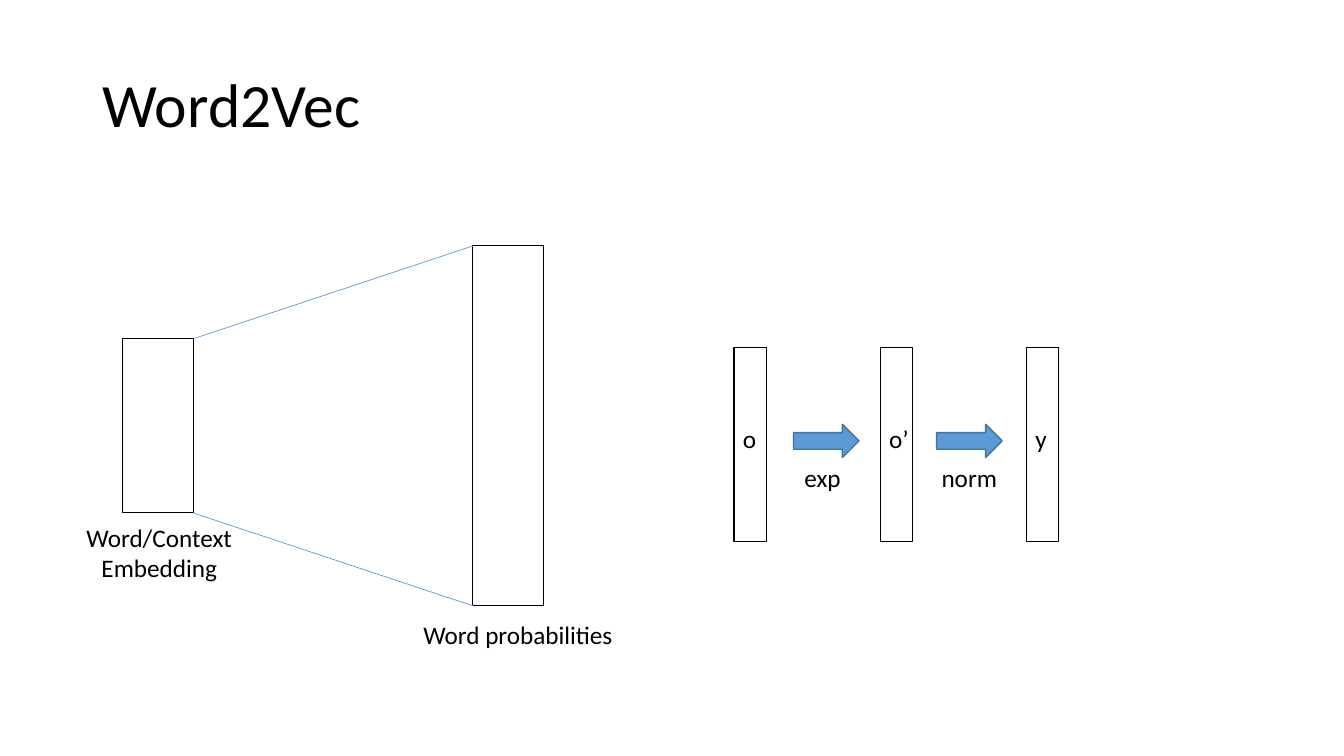
from dataclasses import dataclass

from lxml.etree import SubElement
from pptx import Presentation
from pptx.dml.color import RGBColor as RGB
from pptx.enum.shapes import MSO_CONNECTOR as LINE, MSO_SHAPE as SHAPE
from pptx.enum.text import MSO_ANCHOR as ANCHOR, PP_ALIGN as ALIGN
from pptx.oxml.ns import qn
from pptx.util import Pt

EMU_PER_PX = 9144


@dataclass(frozen=True)
class Theme:
    """Colours, font and type sizes of the slide."""
    ink: RGB = RGB(0, 0, 0)
    paper: RGB = RGB(255, 255, 255)
    blue: RGB = RGB(0x5B, 0x9B, 0xD5)
    edge: RGB = RGB(0x43, 0x73, 0x9E)
    font: str = "Calibri"
    title: int = 44
    label: int = 18


THEME = Theme()


def px(n):
    """Turn px into EMU."""
    return int(n * EMU_PER_PX)


def add_text(s, box, text, size=THEME.label, align=ALIGN.LEFT, anchor=ANCHOR.TOP, wrap=False):
    """Write text in a box."""
    tf = s.shapes.add_textbox(*map(px, box)).text_frame
    tf.text = text
    tf.word_wrap = wrap
    tf.vertical_anchor = anchor
    for p in tf.paragraphs:
        p.alignment = align
        for r in p.runs:
            r.font.name, r.font.size = THEME.font, Pt(size)
            r.font.color.rgb = THEME.ink


def add_block(s, kind, box, fill, line, width):
    """Draw a preset shape; a fill of None leaves it open."""
    sp = s.shapes.add_shape(kind, *map(px, box))
    sp.shadow.inherit = False
    if fill is None:
        sp.fill.background()
    else:
        sp.fill.solid()
        sp.fill.fore_color.rgb = fill
    sp.line.color.rgb = line
    sp.line.width = Pt(width)


def add_edge(s, start, end):
    """Draw a thin blue line between two points."""
    c = s.shapes.add_connector(LINE.STRAIGHT, *map(px, start + end))
    c.line.color.rgb = THEME.blue
    c.line.width = Pt(0.5)
    SubElement(c._element.spPr, qn("a:effectLst"))


def add_projection(s, x, y, w, h):
    """Draw the embedding layer widening into the probability layer."""
    layer_w, small_h = 70, 173
    small_y = y + (h - small_h) // 2
    out_x = x + w - layer_w
    for left, top, height in ((out_x, y, h), (x, small_y, small_h)):
        add_block(s, SHAPE.RECTANGLE, (left, top, layer_w, height), None, THEME.ink, 0.75)
    add_edge(s, (x + layer_w, small_y), (out_x, y))
    add_edge(s, (x + layer_w, small_y + small_h), (out_x, y + h))
    add_text(s, (out_x - 59, y + h + 8, 216, 40), "Word probabilities")
    add_text(s, (x - 47, small_y + small_h + 4, 166, 71), "Word/Context\nEmbedding",
             align=ALIGN.CENTER)


def add_softmax(s, x, y, w, h):
    """Draw the vectors o, o’ and y joined by exp and norm arrows."""
    bar_w, label_h = 32, 40
    step = (w - bar_w) // 2
    for i, (name, label_w) in enumerate((("o", 34), ("o’", 40), ("y", 32))):
        left = x + i * step
        add_block(s, SHAPE.RECTANGLE, (left, y, bar_w, h), THEME.paper, THEME.ink, 1)
        add_text(s, (left - 1, y + 70, label_w, label_h), name)
    for i, (name, nudge, label_w) in enumerate((("exp", 1, 57), ("norm", -5, 76))):
        left = x + 59 + i * 142
        add_block(s, SHAPE.RIGHT_ARROW, (left, y + 76, 65, 33), THEME.blue, THEME.edge, 1)
        add_text(s, (left + nudge, y + 109, label_w, label_h), name)


def main():
    """Build and save the slide."""
    prs = Presentation()
    prs.slide_width, prs.slide_height = px(1333), px(750)
    s = prs.slides.add_slide(prs.slide_layouts[6])
    add_text(s, (92, 30, 1150, 145), "Word2Vec", THEME.title, anchor=ANCHOR.MIDDLE, wrap=True)
    add_projection(s, 122, 244, 417, 357)
    add_softmax(s, 728, 345, 322, 192)
    prs.save("out.pptx")


if __name__ == "__main__":
    main()
